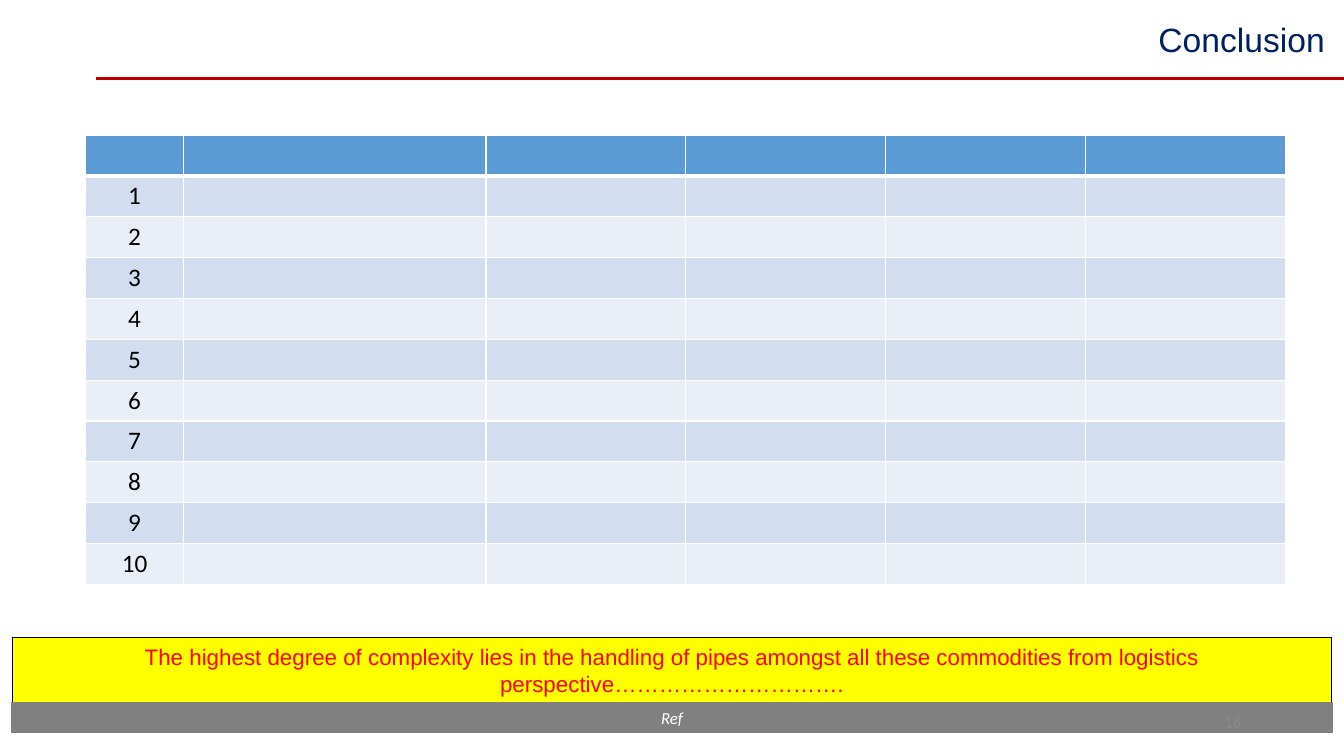
from dataclasses import dataclass

from lxml.etree import SubElement
from pptx import Presentation
from pptx.dml.color import RGBColor
from pptx.enum.shapes import MSO_CONNECTOR, MSO_SHAPE
from pptx.enum.text import MSO_ANCHOR, PP_ALIGN
from pptx.oxml.ns import qn
from pptx.util import Inches, Pt


@dataclass(frozen=True)
class Theme:
    navy: str = "002060"
    rule_red: str = "C00000"
    text_red: str = "FF0000"
    yellow: str = "FFFF00"
    gray: str = "808080"
    number_gray: str = "8B8B8B"
    black: str = "000000"
    white: str = "FFFFFF"
    header: str = "5B9BD5"
    bands: tuple = ("D2DEEF", "EAEFF7")
    heading_font: str = "Arial"
    body_font: str = "Calibri"
    title_size: int = 24
    table_size: int = 18
    message_size: int = 16
    footer_size: int = 12


THEME = Theme()


def rgb(color):
    return RGBColor.from_string(color)


def write(frame, text, *, size, color, font=THEME.body_font,
          align=PP_ALIGN.CENTER, italic=False, line_spacing=None):
    frame.word_wrap = True
    paragraph = frame.paragraphs[0]
    paragraph.alignment = align
    if line_spacing:
        paragraph.line_spacing = line_spacing
    run = paragraph.add_run()
    run.text = text
    run.font.name = font
    run.font.size = Pt(size)
    run.font.italic = italic
    run.font.color.rgb = rgb(color)


def add_label(slide, box, text, **text_format):
    label = slide.shapes.add_textbox(*map(Inches, box)).text_frame
    label.vertical_anchor = MSO_ANCHOR.MIDDLE
    write(label, text, **text_format)


def add_bar(slide, box, text, fill, outline, outline_width, **text_format):
    bar = slide.shapes.add_shape(MSO_SHAPE.RECTANGLE, *map(Inches, box))
    bar.shadow.inherit = False
    bar.fill.solid()
    bar.fill.fore_color.rgb = rgb(fill)
    bar.line.color.rgb = rgb(outline)
    bar.line.width = Pt(outline_width)
    bar.text_frame.vertical_anchor = MSO_ANCHOR.MIDDLE
    write(bar.text_frame, text, **text_format)


def add_heading(slide, box, rule_start):
    """Place the title, with the red rule along the bottom of its box."""
    left, top, width, height = box
    add_label(slide, box, "Conclusion ", size=THEME.title_size, color=THEME.navy,
              font=THEME.heading_font, align=PP_ALIGN.RIGHT, line_spacing=0.9)
    bottom = Inches(top + height)
    rule = slide.shapes.add_connector(
        MSO_CONNECTOR.STRAIGHT, Inches(left + width), bottom, Inches(rule_start), bottom)
    rule.line.color.rgb = rgb(THEME.rule_red)
    rule.line.width = Pt(2.5)
    SubElement(rule.element.spPr, qn("a:effectLst"))


def set_borders(cell, **widths):
    """Draw white borders; widths in points are keyed by L, R, T and B."""
    properties = cell._tc.get_or_add_tcPr()
    for side, width in widths.items():
        border = SubElement(properties, qn(f"a:ln{side}"), w=str(Pt(width)))
        fill = SubElement(border, qn("a:solidFill"))
        SubElement(fill, qn("a:srgbClr"), val=THEME.white)


def add_commodity_table(slide, box, item_count=10):
    left, top, width, height = box
    number_width, name_width, detail_count = 0.97, 3, 4
    detail_width = (width - number_width - name_width) / detail_count
    column_widths = [number_width, name_width] + [detail_width] * detail_count
    table = slide.shapes.add_table(
        item_count + 1, len(column_widths), *map(Inches, box)).table
    for column, column_width in zip(table.columns, column_widths):
        column.width = Inches(column_width)
    for number, row in enumerate(table.rows):
        row.height = Inches(height / (item_count + 1))
        for cell in row.cells:
            set_borders(cell, L=1, R=1, T=3 if number == 1 else 1,
                        B=3 if number == 0 else 1)
            cell.fill.solid()
            color = THEME.bands[(number - 1) % 2] if number else THEME.header
            cell.fill.fore_color.rgb = rgb(color)
        if number:
            write(table.cell(number, 0).text_frame, str(number),
                  size=THEME.table_size, color=THEME.black)


def add_footer(slide, box):
    """Stack the yellow message on the gray reference bar and page number."""
    left, top, width, height = box
    reference_height = 0.3
    message_height = height - reference_height
    reference_top = top + message_height
    add_bar(slide, (left, top, width, message_height),
            "The highest degree of complexity lies in the handling of pipes amongst "
            "all these commodities from logistics perspective………………………….",
            THEME.yellow, THEME.black, 0.75, size=THEME.message_size,
            color=THEME.text_red, font=THEME.heading_font)
    add_bar(slide, (left, reference_top, width, reference_height), "Ref",
            THEME.gray, THEME.gray, 1, size=THEME.footer_size,
            color=THEME.white, italic=True)
    number_width = 3
    add_label(slide, (left + width - 0.8 - number_width, reference_top - 0.01,
                      number_width, 0.4),
              "16", size=THEME.footer_size, color=THEME.number_gray,
              align=PP_ALIGN.RIGHT)


def main():
    presentation = Presentation()
    presentation.slide_width = Inches(13.33)
    presentation.slide_height = Inches(7.5)
    slide = presentation.slides.add_slide(presentation.slide_layouts[6])
    add_heading(slide, (1.83, 0.05, 11.5, 0.73), rule_start=0.95)
    add_commodity_table(slide, (0.85, 1.34, 11.9, 4.46))
    add_footer(slide, (0.12, 6.32, 13.09, 0.95))
    presentation.save("out.pptx")


if __name__ == "__main__":
    main()
